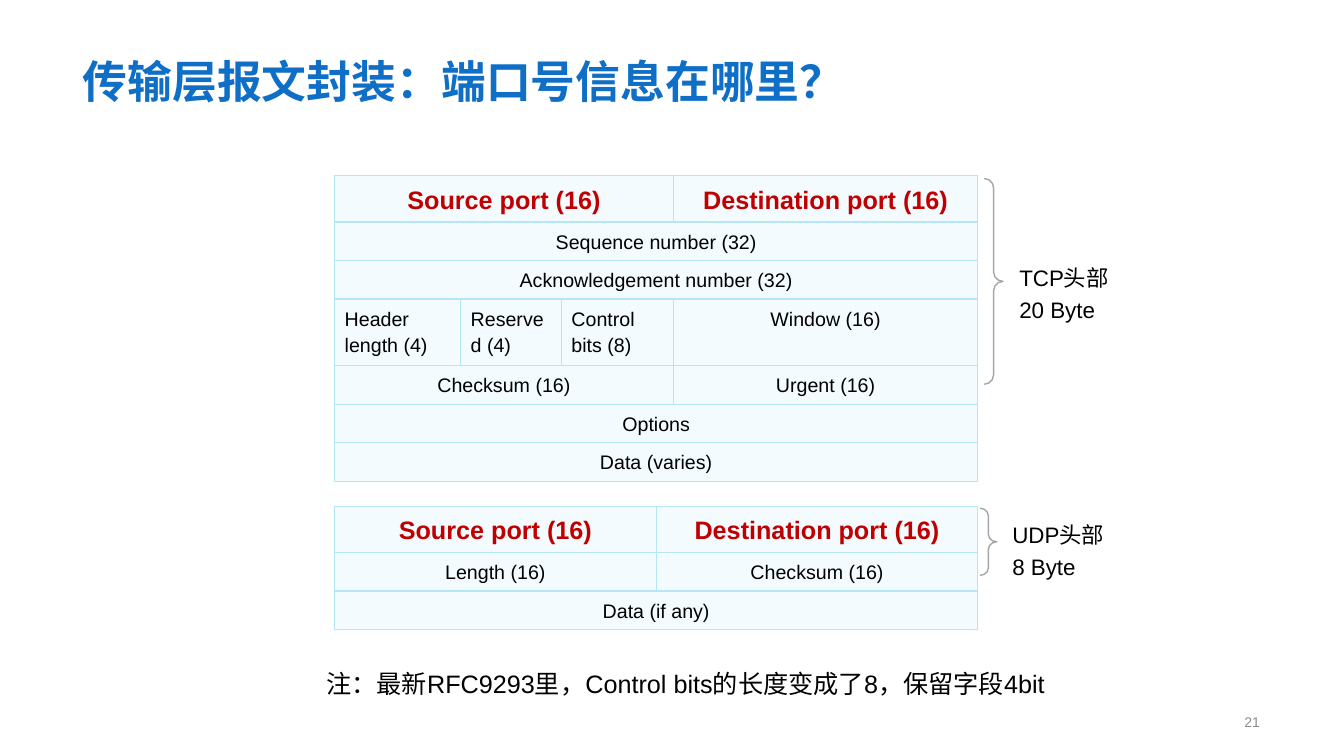
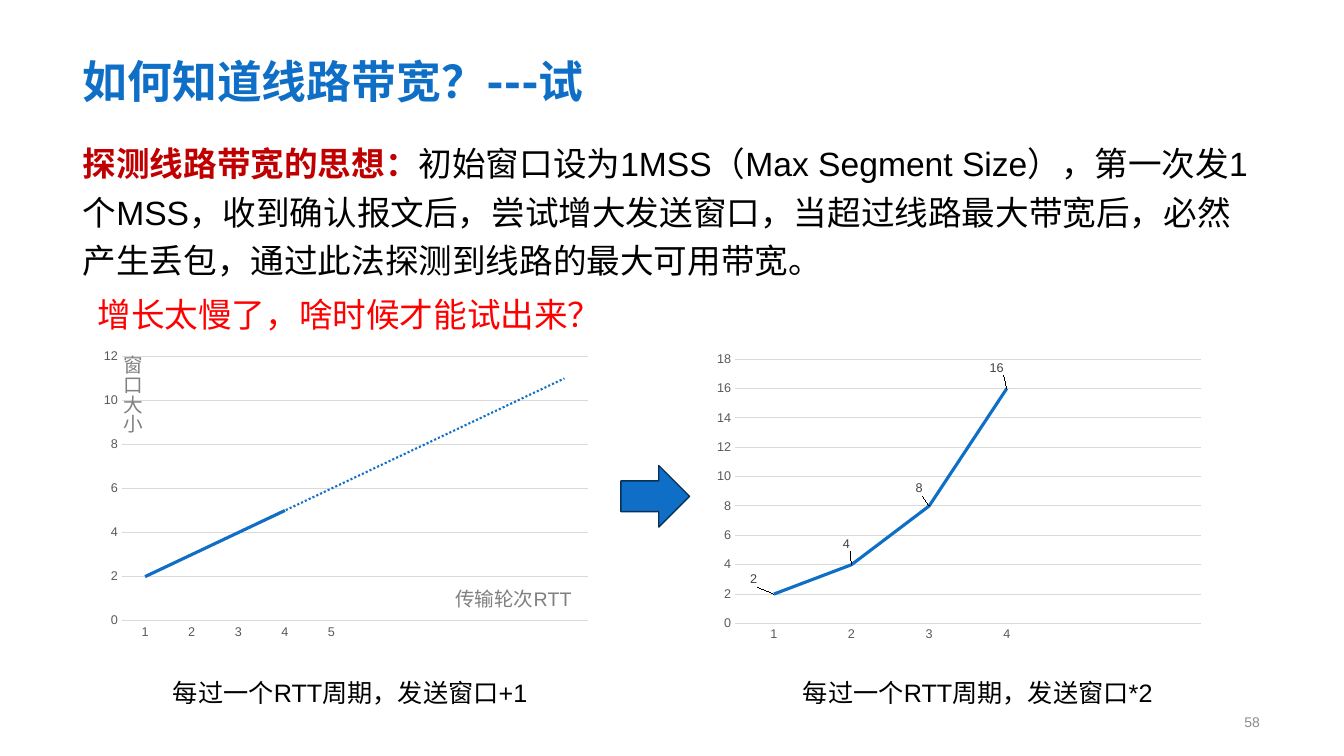
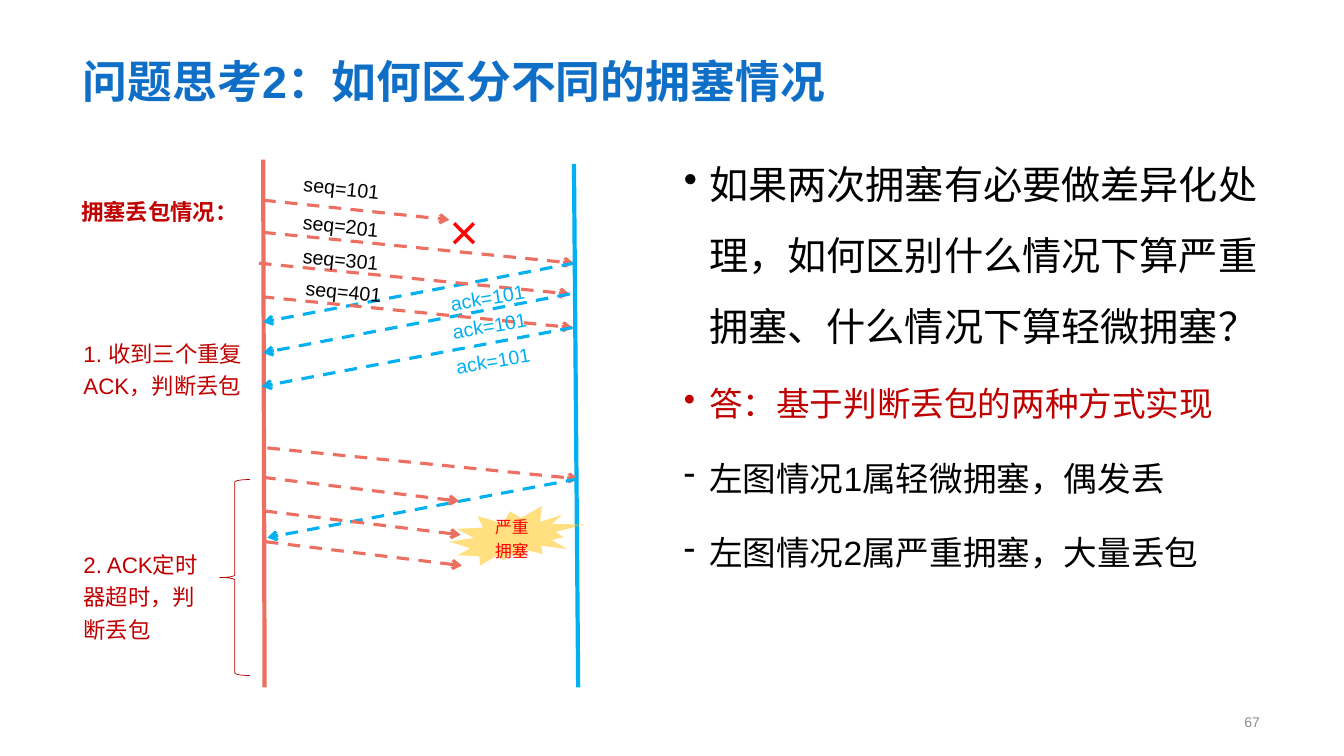
from dataclasses import dataclass

from lxml.etree import SubElement
from pptx import Presentation
from pptx.chart.data import CategoryChartData
from pptx.dml.color import RGBColor
from pptx.enum.chart import XL_CHART_TYPE as ChartType
from pptx.enum.chart import XL_LABEL_POSITION as LabelPosition
from pptx.enum.chart import XL_MARKER_STYLE as Marker
from pptx.enum.chart import XL_TICK_MARK as TickMark
from pptx.enum.dml import MSO_LINE as Dash
from pptx.enum.shapes import MSO_CONNECTOR as Connector
from pptx.enum.shapes import MSO_SHAPE as Shape
from pptx.enum.text import MSO_ANCHOR as Anchor
from pptx.enum.text import PP_ALIGN as Align
from pptx.oxml import parse_xml
from pptx.oxml.ns import nsdecls, qn
from pptx.util import Pt


@dataclass(frozen=True)
class Theme:
    font: str = "Arial"
    title_font: str = "Montserrat"
    blue: str = "0F6FC6"
    navy: str = "073157"
    sky: str = "00B0F0"
    coral: str = "EC7061"
    crimson: str = "C00000"
    red: str = "FF0000"
    amber: str = "FFC000"
    black: str = "000000"
    charcoal: str = "404040"
    axis: str = "595959"
    grey: str = "808080"
    footer: str = "8C8C8C"
    brace: str = "A6A6A6"
    grid: str = "D9D9D9"
    cell: str = "F3FBFE"
    border: str = "B4E6F6"
    title_size: int = 32
    mark_size: int = 36
    lead_size: int = 28
    body_size: int = 24
    note_size: int = 18
    side_size: int = 16
    label_size: int = 14
    burst_size: int = 12
    footer_size: int = 10
    axis_size: int = 9


THEME = Theme()


def rgb(color):
    return RGBColor.from_string(color)


def points(*lengths):
    return [Pt(length) for length in lengths]


class Painter:
    def __init__(self, deck, theme):
        self.deck = deck
        self.theme = theme
        self.page = None

    def start(self, title, number, font=None):
        self.page = self.deck.slides.add_slide(self.deck.slide_layouts[6])
        self.text((52, 10, 855, 70.5), [title], self.theme.title_size,
                  self.theme.blue, bold=True, anchor=Anchor.BOTTOM,
                  spacing=1, font=font or self.theme.title_font)
        self.text((612, 505, 295, 21), [str(number)], self.theme.footer_size,
                  self.theme.footer, align=Align.RIGHT, anchor=Anchor.MIDDLE,
                  spacing=1)

    def style(self, font, size, color, bold=False, name=None):
        font.name = name or self.theme.font
        font.size = Pt(size)
        font.bold = bold
        font.color.rgb = rgb(color)

    def text(self, frame, lines, size, color=None, bold=False, align=Align.LEFT,
             anchor=Anchor.TOP, spacing=1.2, font=None, wrap=True, turn=0,
             vertical=False):
        box = self.page.shapes.add_textbox(*points(*frame))
        box.rotation = turn
        body = box.text_frame
        body.word_wrap = wrap
        body.vertical_anchor = anchor
        if vertical:
            box.element.xpath(".//a:bodyPr")[0].set("vert", "eaVert")
        body.text = "\n".join(lines)
        for para in body.paragraphs:
            para.alignment = align
            para.line_spacing = spacing
            self.style(para.font, size, color or self.theme.black, bold, font)

    def lead_text(self, frame, lead, rest, size):
        box = self.page.shapes.add_textbox(*points(*frame))
        box.text_frame.word_wrap = True
        para = box.text_frame.paragraphs[0]
        para.line_spacing = 1.2
        for words, color, bold in ((lead, self.theme.crimson, True),
                                   (rest, self.theme.black, False)):
            span = para.add_run()
            span.text = words
            self.style(span.font, size, color, bold)

    def bullets(self, frame, items):
        body = self.page.shapes.add_textbox(*points(*frame)).text_frame
        body.word_wrap = True
        for index, (mark, words, size, color) in enumerate(items):
            para = body.add_paragraph() if index else body.paragraphs[0]
            para.text = words
            para.line_spacing = 1.5
            if index:
                para.space_before = Pt(10)
            props = para._p.get_or_add_pPr()
            props.set("marL", str(Pt(18)))
            props.set("indent", str(-Pt(18)))
            SubElement(props, qn("a:buChar")).set("char", mark)
            self.style(para.font, size, color)

    def shape(self, kind, frame, fill=None, line=None, weight=1, opacity=None):
        item = self.page.shapes.add_shape(kind, *points(*frame))
        item.shadow.inherit = False
        if fill:
            item.fill.solid()
            item.fill.fore_color.rgb = rgb(fill)
            if opacity:
                tint = item.element.spPr.find(qn("a:solidFill"))[0]
                SubElement(tint, qn("a:alpha")).set("val", str(opacity * 1000))
        else:
            item.fill.background()
        if line:
            item.line.color.rgb = rgb(line)
            item.line.width = Pt(weight)
        else:
            item.line.fill.background()
        return item

    def burst(self, frame, words):
        item = self.shape(Shape.EXPLOSION2, frame, self.theme.amber, opacity=50)
        body = item.text_frame
        body.word_wrap = True
        body.vertical_anchor = Anchor.MIDDLE
        body.text = words
        para = body.paragraphs[0]
        para.alignment = Align.CENTER
        para.line_spacing = 1.2
        self.style(para.font, self.theme.burst_size, self.theme.red)

    def brace(self, frame, curve):
        item = self.shape(Shape.RIGHT_BRACE, frame, line=self.theme.brace)
        item.adjustments[0] = curve

    def line(self, start, end, color, weight=3.0):
        item = self.page.shapes.add_connector(Connector.STRAIGHT,
                                              *points(*start, *end))
        item.line.color.rgb = rgb(color)
        item.line.width = Pt(weight)
        SubElement(item.element.spPr, qn("a:effectLst"))
        return item

    def arrow(self, start, end, color):
        item = self.line(start, end, color, 2.25)
        item.line.dash_style = Dash.DASH
        stroke = item.element.spPr.find(qn("a:ln"))
        SubElement(stroke, qn("a:tailEnd")).set("type", "arrow")

    def table(self, left, top, widths, heights, rows):
        frame = self.page.shapes.add_table(
            len(rows), len(widths),
            *points(left, top, sum(widths), sum(heights)))
        grid = frame.table
        for column, width in zip(grid.columns, widths):
            column.width = Pt(width)
        for row, height in zip(grid.rows, heights):
            row.height = Pt(height)
        for cell in grid.iter_cells():
            self.paint_cell(cell)
        for r, row in enumerate(rows):
            c = 0
            for words, span in row:
                cell = grid.cell(r, c)
                if span > 1:
                    cell.merge(grid.cell(r, c + span - 1))
                cell.text = words
                para = cell.text_frame.paragraphs[0]
                narrow = sum(widths[c:c + span]) < 100
                para.alignment = Align.LEFT if narrow else Align.CENTER
                para.line_spacing = 1.2
                if r == 0:
                    self.style(para.font, self.theme.note_size,
                               self.theme.crimson, True)
                else:
                    self.style(para.font, self.theme.label_size,
                               self.theme.black)
                c += span

    def paint_cell(self, cell):
        props = cell._tc.get_or_add_tcPr()
        for side in ("lnL", "lnR", "lnT", "lnB"):
            edge = SubElement(props, qn(f"a:{side}"))
            edge.set("w", str(Pt(1)))
            paint = SubElement(edge, qn("a:solidFill"))
            SubElement(paint, qn("a:srgbClr")).set("val", self.theme.border)
        cell.fill.solid()
        cell.fill.fore_color.rgb = rgb(self.theme.cell)

    def line_chart(self, frame, categories, values, top_value):
        data = CategoryChartData()
        data.categories = categories
        data.add_series("Series 1", values)
        chart = self.page.shapes.add_chart(ChartType.LINE, *points(*frame),
                                           data).chart
        chart.has_legend = False
        chart.has_title = False
        self.style(chart.font, self.theme.footer_size, self.theme.black)
        for axis in (chart.category_axis, chart.value_axis):
            axis.major_tick_mark = axis.minor_tick_mark = TickMark.NONE
            self.style(axis.tick_labels.font, self.theme.axis_size,
                       self.theme.axis)
        scale = chart.value_axis
        scale.minimum_scale, scale.maximum_scale = 0, top_value
        scale.major_unit = 2
        scale.format.line.fill.background()
        for rule in (chart.category_axis.format.line,
                     scale.major_gridlines.format.line):
            rule.color.rgb = rgb(self.theme.grid)
            rule.width = Pt(0.75)
        chart.plots[0].vary_by_categories = False
        series = chart.plots[0].series[0]
        series.smooth = False
        series.marker.style = Marker.NONE
        series.format.line.color.rgb = rgb(self.theme.blue)
        series.format.line.width = Pt(2.25)
        return series

    def trend(self, series):
        trend = parse_xml(
            f'<c:trendline {nsdecls("c", "a")}><c:spPr><a:ln w="{Pt(1.5)}">'
            f'<a:solidFill><a:srgbClr val="{self.theme.blue}"/></a:solidFill>'
            '<a:prstDash val="sysDot"/></a:ln></c:spPr>'
            '<c:trendlineType val="linear"/><c:dispRSqr val="0"/>'
            '<c:dispEq val="0"/></c:trendline>')
        series._element.find(qn("c:cat")).addprevious(trend)

    def point_labels(self, series, offsets):
        for index in range(len(offsets)):
            label = series.points[index].data_label
            self.style(label.font, self.theme.axis_size, self.theme.charcoal)
            label.position = LabelPosition.ABOVE
        for label, (x, y) in zip(series._element.xpath(".//c:dLbl"), offsets):
            label.find(qn("c:idx")).addnext(parse_xml(
                f'<c:layout {nsdecls("c")}><c:manualLayout><c:x val="{x}"/>'
                f'<c:y val="{y}"/></c:manualLayout></c:layout>'))


def header_slide(painter):
    theme = painter.theme
    painter.start("传输层报文封装：端口号信息在哪里？", 21)
    for frame, lines in (((721, 181.5, 115, 52), ["TCP头部", "20 Byte"]),
                         ((716, 365, 125, 52), ["UDP头部", "8 Byte"])):
        painter.text(frame, lines, theme.side_size)
    row = 27.5
    painter.table(239, 125.5, (90, 72, 80, 217.5), [row] * 3 + [46] + [row] * 3, [
        [("Source port (16)", 3), ("Destination port (16)", 1)],
        [("Sequence number (32)", 4)],
        [("Acknowledgement number (32)", 4)],
        [("Header length (4)", 1), ("Reserved (4)", 1),
         ("Control bits (8)", 1), ("Window (16)", 1)],
        [("Checksum (16)", 3), ("Urgent (16)", 1)],
        [("Options", 4)],
        [("Data (varies)", 4)],
    ])
    painter.table(239, 361.5, (229.75, 229.75), [row] * 3, [
        [("Source port (16)", 1), ("Destination port (16)", 1)],
        [("Length (16)", 1), ("Checksum (16)", 1)],
        [("Data (if any)", 2)],
    ])
    painter.brace((703, 127.5, 13.5, 147), 0.5)
    painter.brace((700, 363, 12, 48), 0.45)
    painter.text((226, 469.5, 543.5, 31),
                 ["注：最新RFC9293里，Control bits的长度变成了8，保留字段4bit"],
                 theme.note_size)


def bandwidth_slide(painter):
    theme = painter.theme
    painter.start("如何知道线路带宽？---试", 58)
    steady = painter.line_chart((67, 245, 360, 216), list("12345") + [""] * 5,
                                [2, 3, 4, 5] + [None] * 5 + [11], 12)
    painter.trend(steady)
    painter.lead_text(
        (52, 93, 855, 109.5), "探测线路带宽的思想：",
        "初始窗口设为1MSS（Max Segment Size），第一次发1个MSS，收到确认报文后，"
        "尝试增大发送窗口，当超过线路最大带宽后，必然产生丢包，"
        "通过此法探测到线路的最大可用带宽。", theme.body_size)
    for left, growth in ((116.5, "+1"), (566.5, "*2")):
        painter.text((left, 476, 380, 31),
                     [f"每过一个RTT周期，发送窗口{growth}"], theme.note_size)
    painter.text((62.5, 201, 353.5, 39), ["增长太慢了，啥时候才能试出来？"],
                 theme.body_size, theme.red)
    painter.shape(Shape.RIGHT_ARROW, (443.5, 332.5, 49, 44), theme.blue,
                  theme.navy)
    doubling = painter.line_chart((505, 247, 360, 216), list("1234") + [""] * 2,
                                  [2, 4, 8, 16, None, None], 18)
    painter.point_labels(doubling, [(-0.04, -0.01), (-0.01, -0.03),
                                    (-0.02, -0.02), (-0.02, -0.03)])
    painter.text((75.5, 247, 34.5, 111), ["窗口大小"], theme.label_size,
                 theme.grey, vertical=True)
    painter.text((318, 412.5, 162, 26), ["传输轮次RTT"], theme.label_size,
                 theme.grey)


def congestion_slide(painter):
    theme = painter.theme
    painter.start("问题思考2：如何区分不同的拥塞情况", 67, theme.font)
    painter.bullets((481.5, 94.5, 427, 396.5), [
        ("•", "如果两次拥塞有必要做差异化处理，如何区别什么情况下算严重拥塞、"
         "什么情况下算轻微拥塞？", theme.lead_size, theme.black),
        ("•", "答：基于判断丢包的两种方式实现", theme.body_size, theme.crimson),
        ("-", "左图情况1属轻微拥塞，偶发丢", theme.body_size, theme.black),
        ("-", "左图情况2属严重拥塞，大量丢包", theme.body_size, theme.black),
    ])
    painter.line((188, 114), (189, 491), theme.coral)
    painter.line((410, 117), (413, 491), theme.sky)
    for x, y, back in ((188, 166, 188), (185, 188, 188), (187, 212, 187),
                       (191, 320, 191)):
        arrival = (x + 222, y + 22)
        painter.arrow((x, y), arrival, theme.coral)
        painter.arrow(arrival, (back, y + 64), theme.sky)
    for x, y, reach, drop in ((188, 143, 133, 14), (188, 341, 140, 17),
                              (189, 365, 140, 17), (190, 387, 140, 17)):
        painter.arrow((x, y), (x + reach, y + drop), theme.coral)
    painter.burst((321, 361.5, 96.5, 42.5), "严重拥塞")
    for number, left, top in ((101, 210, 119), (201, 209.5, 146),
                              (301, 209.5, 170), (401, 211.5, 193)):
        painter.text((left, top, 69, 26), [f"seq={number}"], theme.label_size,
                     wrap=False, turn=5.8)
    for left, top in ((314, 197), (315.5, 217), (318, 242)):
        painter.text((left, top, 68.5, 26), ["ack=101"], theme.label_size,
                     theme.sky, wrap=False, turn=-9.4)
    painter.shape(Shape.LEFT_BRACE, (157, 342.5, 21.5, 140),
                  line=theme.crimson, weight=0.5)
    for frame, words, bold in (
            ((52.5, 235.5, 151, 52), "1. 收到三个重复ACK，判断丢包", False),
            ((52.5, 386.5, 102, 75), "2. ACK定时器超时，判断丢包", False),
            ((51, 134, 151, 29), "拥塞丢包情况：", True)):
        painter.text(frame, [words], theme.side_size, theme.crimson, bold)
    painter.text((314, 130.5, 44.5, 55.5), ["×"], theme.mark_size, theme.red)


def main():
    deck = Presentation()
    deck.slide_width, deck.slide_height = points(960, 540)
    painter = Painter(deck, THEME)
    header_slide(painter)
    bandwidth_slide(painter)
    congestion_slide(painter)
    deck.save("out.pptx")


if __name__ == "__main__":
    main()
